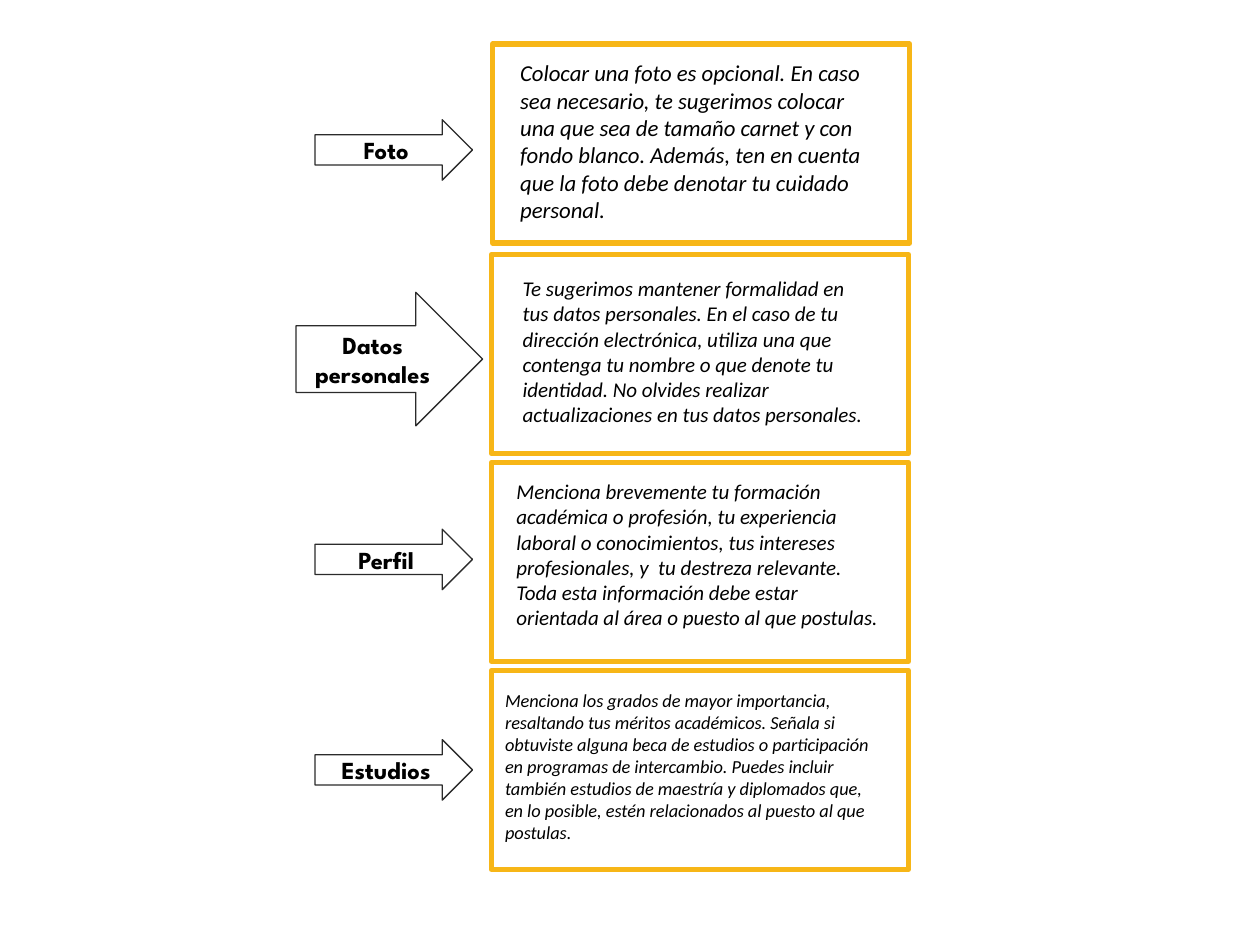
from dataclasses import dataclass

from pptx import Presentation
from pptx.dml.color import RGBColor as RGB
from pptx.enum.shapes import MSO_SHAPE as Shape
from pptx.enum.text import MSO_ANCHOR as Anchor, PP_ALIGN as Align
from pptx.util import Inches, Pt


@dataclass(frozen=True)
class Theme:
    """Colours, fonts and sizes of the slide."""
    gold: RGB = RGB(0xF7, 0xB6, 0x17)
    edge: RGB = RGB(0x2B, 0x2B, 0x2B)
    ink: RGB = RGB(0, 0, 0)
    paper: RGB = RGB(255, 255, 255)
    body: str = "Calibri"
    head: str = "League Spartan"
    label: float = 14
    frame: float = 3
    thin: float = 0.75


THEME = Theme()
CARD = 3.31, 1.58
SMALL = 2.5, 1.25, 0.48
LARGE = 2.35, 1.48, 1.06

ROWS = [
    {"label": "Foto", "card": (3.91, 0.35), "inset": (0.12, 0.07, 2.96, 1.45),
     "arrow": SMALL, "drop": 0.6, "size": 13,
     "text": "Colocar una foto es opcional. En caso sea necesario, te sugerimos "
             "colocar una que sea de tamaño carnet y con fondo blanco. Además, ten "
             "en cuenta que la foto debe denotar tu cuidado personal."},
    {"label": "Datos personales", "card": (3.9, 2.02), "inset": (0.15, 0.12, 2.9, 1.34),
     "arrow": LARGE, "drop": 0.3, "size": 12,
     "text": "Te sugerimos mantener formalidad en tus datos personales. En el caso "
             "de tu dirección electrónica, utiliza una que contenga tu nombre o que "
             "denote tu identidad. No olvides realizar actualizaciones en tus datos "
             "personales."},
    {"label": "Perfil", "card": (3.9, 3.67), "inset": (0.1, 0.08, 3.1, 1.34),
     "arrow": SMALL, "drop": 0.53, "size": 12,
     "text": "Menciona brevemente tu formación académica o profesión, tu experiencia "
             "laboral o conocimientos, tus intereses profesionales, y  tu destreza "
             "relevante. Toda esta información debe estar orientada al área o puesto "
             "al que postulas."},
    {"label": "Estudios", "card": (3.9, 5.32), "inset": (0.01, 0.1, 3.21, 1.34),
     "arrow": SMALL, "drop": 0.55, "size": 10.5,
     "text": "Menciona los grados de mayor importancia, resaltando tus méritos "
             "académicos. Señala si obtuviste alguna beca de estudios o participación "
             "en programas de intercambio. Puedes incluir también estudios de maestría "
             "y diplomados que, en lo posible, estén relacionados al puesto al que "
             "postulas."},
]


def write(shape, text, pad, align, anchor, **style):
    """Put one styled paragraph in a shape."""
    frame = shape.text_frame
    layout = {"word_wrap": True, "vertical_anchor": anchor,
              "margin_left": Inches(0.1), "margin_right": Inches(0.1),
              "margin_top": Inches(pad), "margin_bottom": Inches(pad)}
    for name, value in layout.items():
        setattr(frame, name, value)
    para = frame.paragraphs[0]
    para.alignment = align
    run = para.add_run()
    run.text = text
    for name, value in style.items():
        setattr(run.font, name, value)
    run.font.color.rgb = THEME.ink


def outline(shapes, kind, box, color, width):
    """Add a flat outlined shape in the given box."""
    shape = shapes.add_shape(kind, *map(Inches, box))
    shape.shadow.inherit = False
    shape.line.color.rgb = color
    shape.line.width = Pt(width)
    return shape


def add_card(slide, box, inset, text, size):
    """Group a framed card with its advice text."""
    shapes = slide.shapes.add_group_shape().shapes
    card = outline(shapes, Shape.RECTANGLE, box, THEME.gold, THEME.frame)
    card.fill.solid()
    card.fill.fore_color.rgb = THEME.paper
    dx, dy, width, height = inset
    area = box[0] + dx, box[1] + dy, width, height
    note = shapes.add_textbox(*map(Inches, area))
    write(note, text, 0.05, Align.LEFT, Anchor.TOP,
          name=THEME.body, size=Pt(size), italic=True)


def add_arrow(slide, box, label):
    """Add a labelled arrow that points at a card."""
    arrow = outline(slide.shapes, Shape.RIGHT_ARROW, box, THEME.edge, THEME.thin)
    arrow.fill.background()
    write(arrow, label, 0.1, Align.CENTER, Anchor.MIDDLE,
          name=THEME.head, size=Pt(THEME.label), bold=True)


def main():
    """Build the slide and save it."""
    deck = Presentation()
    deck.slide_width, deck.slide_height = Inches(10), Inches(7.5)
    slide = deck.slides.add_slide(deck.slide_layouts[6])
    for row in ROWS:
        add_card(slide, (*row["card"], *CARD), row["inset"], row["text"], row["size"])
    for row in ROWS:
        left, width, height = row["arrow"]
        top = row["card"][1] + row["drop"]
        add_arrow(slide, (left, top, width, height), row["label"])
    deck.save("out.pptx")


if __name__ == "__main__":
    main()
